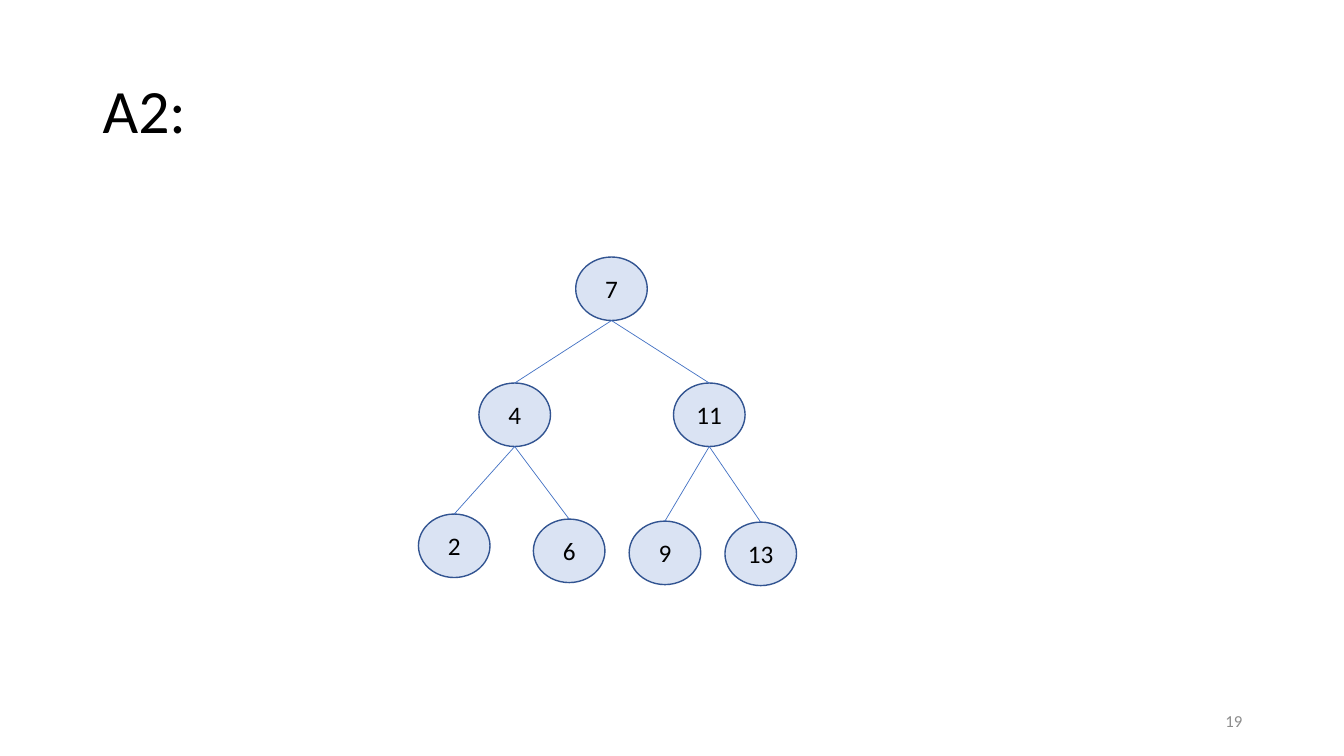
from dataclasses import dataclass
from typing import Optional

from lxml import etree
from pptx import Presentation
from pptx import util as u
from pptx.dml.color import RGBColor
from pptx.enum import shapes, text
from pptx.oxml.ns import qn


@dataclass(frozen=True)
class Theme:
    font: str = "Calibri"
    ink: RGBColor = RGBColor(0x00, 0x00, 0x00)
    muted: RGBColor = RGBColor(0x8C, 0x8C, 0x8C)
    node_fill: RGBColor = RGBColor(0xDA, 0xE3, 0xF3)
    node_line: RGBColor = RGBColor(0x32, 0x54, 0x91)
    edge: RGBColor = RGBColor(0x44, 0x72, 0xC4)
    title_size: int = 44
    node_size: int = 18
    number_size: int = 12


@dataclass(frozen=True)
class Node:
    key: int
    left: float
    top: float
    parent: Optional[int] = None


THEME = Theme()
NODE_WIDTH, NODE_HEIGHT = 0.71, 0.63
TREE = [
    Node(7, 5.71, 2.55),
    Node(4, 4.75, 3.8, parent=7),
    Node(2, 4.15, 5.1, parent=4),
    Node(6, 5.29, 5.15, parent=4),
    Node(9, 6.24, 5.17, parent=11),
    Node(11, 6.68, 3.8, parent=7),
    Node(13, 7.19, 5.18, parent=11),
]


def write(shape, words: str, size: int, color: RGBColor, alignment) -> None:
    frame = shape.text_frame
    frame.word_wrap = True
    frame.vertical_anchor = text.MSO_ANCHOR.MIDDLE
    paragraph = frame.paragraphs[0]
    paragraph.text = words
    paragraph.alignment = alignment
    paragraph.font.name = THEME.font
    paragraph.font.size = u.Pt(size)
    paragraph.font.color.rgb = color


def add_text(slide, box: tuple[float, ...], words: str, size: int,
             color: RGBColor, alignment):
    shape = slide.shapes.add_textbox(*map(u.Inches, box))
    write(shape, words, size, color, alignment)
    return shape


def add_node(slide, node: Node) -> None:
    shape = slide.shapes.add_shape(
        shapes.MSO_SHAPE.OVAL, u.Inches(node.left), u.Inches(node.top),
        u.Inches(NODE_WIDTH), u.Inches(NODE_HEIGHT))
    shape.shadow.inherit = False
    shape.fill.solid()
    shape.fill.fore_color.rgb = THEME.node_fill
    shape.line.color.rgb = THEME.node_line
    shape.line.width = u.Pt(1)
    write(shape, str(node.key), THEME.node_size, THEME.ink, text.PP_ALIGN.CENTER)


def add_edge(slide, parent: Node, child: Node) -> None:
    """Join the bottom of the parent to the top of the child."""
    middle = NODE_WIDTH / 2
    connector = slide.shapes.add_connector(
        shapes.MSO_CONNECTOR.STRAIGHT,
        u.Inches(parent.left + middle), u.Inches(parent.top + NODE_HEIGHT),
        u.Inches(child.left + middle), u.Inches(child.top))
    connector.line.color.rgb = THEME.edge
    connector.line.width = u.Pt(0.5)
    etree.SubElement(connector._element.spPr, qn("a:effectLst"))


def main() -> None:
    presentation = Presentation()
    presentation.slide_width = u.Inches(13.33)
    presentation.slide_height = u.Inches(7.5)
    slide = presentation.slides.add_slide(presentation.slide_layouts[6])

    # Title
    title = add_text(slide, (0.92, 0.4, 11.5, 1.45), "A2:", THEME.title_size,
                     THEME.ink, text.PP_ALIGN.LEFT)
    title.text_frame.paragraphs[0].line_spacing = 0.9

    # Binary search tree
    for node in TREE:
        add_node(slide, node)
    nodes = {node.key: node for node in TREE}
    for node in TREE:
        if node.parent is not None:
            add_edge(slide, nodes[node.parent], node)

    # Slide number
    add_text(slide, (9.42, 6.95, 3, 0.4), "19", THEME.number_size,
             THEME.muted, text.PP_ALIGN.RIGHT)

    presentation.save("out.pptx")


if __name__ == "__main__":
    main()
